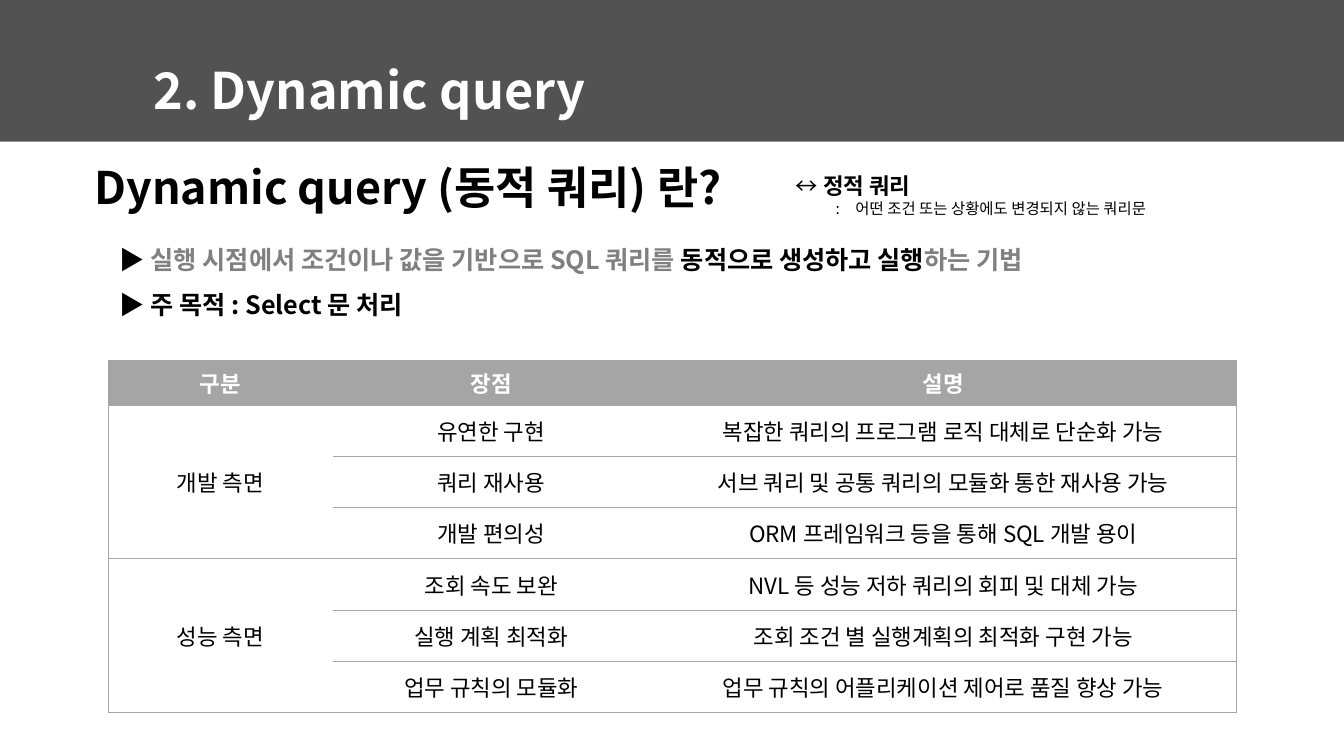
from dataclasses import dataclass
from typing import Optional

from lxml.etree import SubElement
from pptx import Presentation
from pptx.dml.color import RGBColor
from pptx.enum.shapes import MSO_SHAPE
from pptx.enum.text import MSO_ANCHOR, MSO_AUTO_SIZE, PP_ALIGN
from pptx.oxml.ns import qn
from pptx.util import Cm, Pt

FONT = "Noto Sans CJK KR"
WHITE = RGBColor(0xFF, 0xFF, 0xFF)
BLACK = RGBColor(0, 0, 0)
DARK_GRAY = RGBColor(0x52, 0x52, 0x52)
TEXT_GRAY = RGBColor(0x80, 0x80, 0x80)
TABLE_GRAY = RGBColor(0xA5, 0xA5, 0xA5)


@dataclass
class Span:
    text: str
    color: Optional[RGBColor] = None
    bold: Optional[bool] = None


@dataclass
class Para:
    spans: list[Span]
    size: float
    color: RGBColor = BLACK
    bold: bool = True
    align: PP_ALIGN = PP_ALIGN.LEFT
    line_spacing: Optional[float] = None
    margin: float = 0
    hanging: float = 0


@dataclass
class TextBox:
    left: float
    top: float
    width: float
    height: float
    paras: list[Para]


@dataclass
class Aspect:
    name: str
    rows: list[tuple[str, str]]


TITLE = Para([Span("2. Dynamic query")], 36, WHITE)
TEXT_BOXES = [
    TextBox(2.13, 3.91, 19.58, 1.63, [Para([Span("Dynamic query (동적 쿼리) 란?")], 32)]),
    TextBox(2.77, 5.64, 29.06, 2.41, [
        Para([
            Span("▶ "),
            Span("실행 시점에서 조건이나 값을 기반으로 SQL 쿼리를 ", TEXT_GRAY),
            Span("동적으로 생성하고 실행"),
            Span("하는 기법", TEXT_GRAY),
        ], 18, line_spacing=1.5),
        Para([Span("▶ 주 목적 : Select 문 처리")], 18, line_spacing=1.5),
    ]),
    TextBox(19.81, 4.22, 11.73, 1.45, [
        Para([Span("↔ ", bold=False), Span("정적 쿼리")], 16),
        Para([Span(":\t어떤 조건 또는 상황에도 변경되지 않는 쿼리문")], 11,
             bold=False, margin=1.5, hanging=0.5),
    ]),
]

HEADINGS = ["구분", "장점", "설명"]
ASPECTS = [
    Aspect("개발 측면", [
        ("유연한 구현", "복잡한 쿼리의 프로그램 로직 대체로 단순화 가능"),
        ("쿼리 재사용", "서브 쿼리 및 공통 쿼리의 모듈화 통한 재사용 가능"),
        ("개발 편의성", "ORM 프레임워크 등을 통해 SQL 개발 용이"),
    ]),
    Aspect("성능 측면", [
        ("조회 속도 보완", "NVL 등 성능 저하 쿼리의 회피 및 대체 가능"),
        ("실행 계획 최적화", "조회 조건 별 실행계획의 최적화 구현 가능"),
        ("업무 규칙의 모듈화", "업무 규칙의 어플리케이션 제어로 품질 향상 가능"),
    ]),
]
COLUMN_WIDTHS = [5.66, 8, 14.78]
HEADER_HEIGHT, ROW_HEIGHT = 1.14, 1.29


def write_paragraph(paragraph, para: Para) -> None:
    paragraph.alignment = para.align
    if para.line_spacing:
        paragraph.line_spacing = para.line_spacing
    font = paragraph.font
    font.name, font.size, font.bold = FONT, Pt(para.size), para.bold
    font.color.rgb = para.color
    properties = paragraph._p.get_or_add_pPr()
    SubElement(properties.find(qn("a:defRPr")), qn("a:ea"), typeface=FONT)
    if para.hanging:
        properties.set("marL", str(Cm(para.margin)))
        properties.set("indent", str(-Cm(para.hanging)))
    for span in para.spans:
        run = paragraph.add_run()
        run.text = span.text
        if span.color is not None:
            run.font.color.rgb = span.color
        if span.bold is not None:
            run.font.bold = span.bold


def write_frame(frame, paras: list[Para]) -> None:
    frame.word_wrap = True
    frame.auto_size = MSO_AUTO_SIZE.SHAPE_TO_FIT_TEXT
    frame.vertical_anchor = MSO_ANCHOR.TOP
    for index, para in enumerate(paras):
        paragraph = frame.add_paragraph() if index else frame.paragraphs[0]
        write_paragraph(paragraph, para)


def add_title_band(slide, width: int) -> None:
    title = slide.shapes.title
    title.left, title.top, title.width, title.height = Cm(3.61), Cm(1.37), Cm(19.05), Cm(1.8)
    write_frame(title.text_frame, [TITLE])
    band = slide.shapes.add_shape(MSO_SHAPE.RECTANGLE, 0, 0, width, Cm(3.57))
    band.shadow.inherit = False
    band.fill.solid()
    band.fill.fore_color.rgb = DARK_GRAY
    band.line.fill.background()
    title.element.addprevious(band.element)


def set_borders(cell, edges: str) -> None:
    """Rule the given edges (letters of LRTB) and clear the others."""
    properties = cell._tc.get_or_add_tcPr()
    for edge in "LRTB":
        line = SubElement(properties, qn(f"a:ln{edge}"), w=str(Pt(0.5)))
        if edge in edges:
            fill = SubElement(line, qn("a:solidFill"))
            SubElement(fill, qn("a:srgbClr"), val=str(TABLE_GRAY))
        else:
            SubElement(line, qn("a:noFill"))


def format_cell(cell, text: str, edges: str, header: bool = False) -> None:
    set_borders(cell, edges)
    cell.fill.solid()
    cell.fill.fore_color.rgb = TABLE_GRAY if header else WHITE
    cell.vertical_anchor = MSO_ANCHOR.MIDDLE
    if text:
        write_paragraph(cell.text_frame.paragraphs[0], Para(
            [Span(text)], 16, WHITE if header else BLACK, header, PP_ALIGN.CENTER))


def add_aspect_table(slide) -> None:
    row_count = sum(len(aspect.rows) for aspect in ASPECTS)
    table = slide.shapes.add_table(
        row_count + 1, len(HEADINGS), Cm(2.72), Cm(9.07),
        Cm(sum(COLUMN_WIDTHS)), Cm(HEADER_HEIGHT + row_count * ROW_HEIGHT)).table
    table.horz_banding = False
    for column, width in zip(table.columns, COLUMN_WIDTHS):
        column.width = Cm(width)
    for index, row in enumerate(table.rows):
        row.height = Cm(ROW_HEIGHT if index else HEADER_HEIGHT)

    for column, (heading, edges) in enumerate(zip(HEADINGS, ["LTB", "TB", "RTB"])):
        format_cell(table.cell(0, column), heading, edges, header=True)
    row = 1
    for aspect in ASPECTS:
        last = row + len(aspect.rows) - 1
        table.cell(row, 0).merge(table.cell(last, 0))
        for offset, (benefit, description) in enumerate(aspect.rows):
            name, edges = ("", "L") if offset else (aspect.name, "LTB")
            format_cell(table.cell(row, 0), name, edges + "B" * (row == last))
            format_cell(table.cell(row, 1), benefit, "TB")
            format_cell(table.cell(row, 2), description, "RTB")
            row += 1


def main() -> None:
    deck = Presentation()
    deck.slide_width, deck.slide_height = Cm(33.87), Cm(19.05)
    slide = deck.slides.add_slide(deck.slide_layouts.get_by_name("Title Only"))
    add_title_band(slide, deck.slide_width)
    for box in TEXT_BOXES:
        shape = slide.shapes.add_textbox(Cm(box.left), Cm(box.top), Cm(box.width), Cm(box.height))
        write_frame(shape.text_frame, box.paras)
    add_aspect_table(slide)
    deck.save("out.pptx")


if __name__ == "__main__":
    main()
